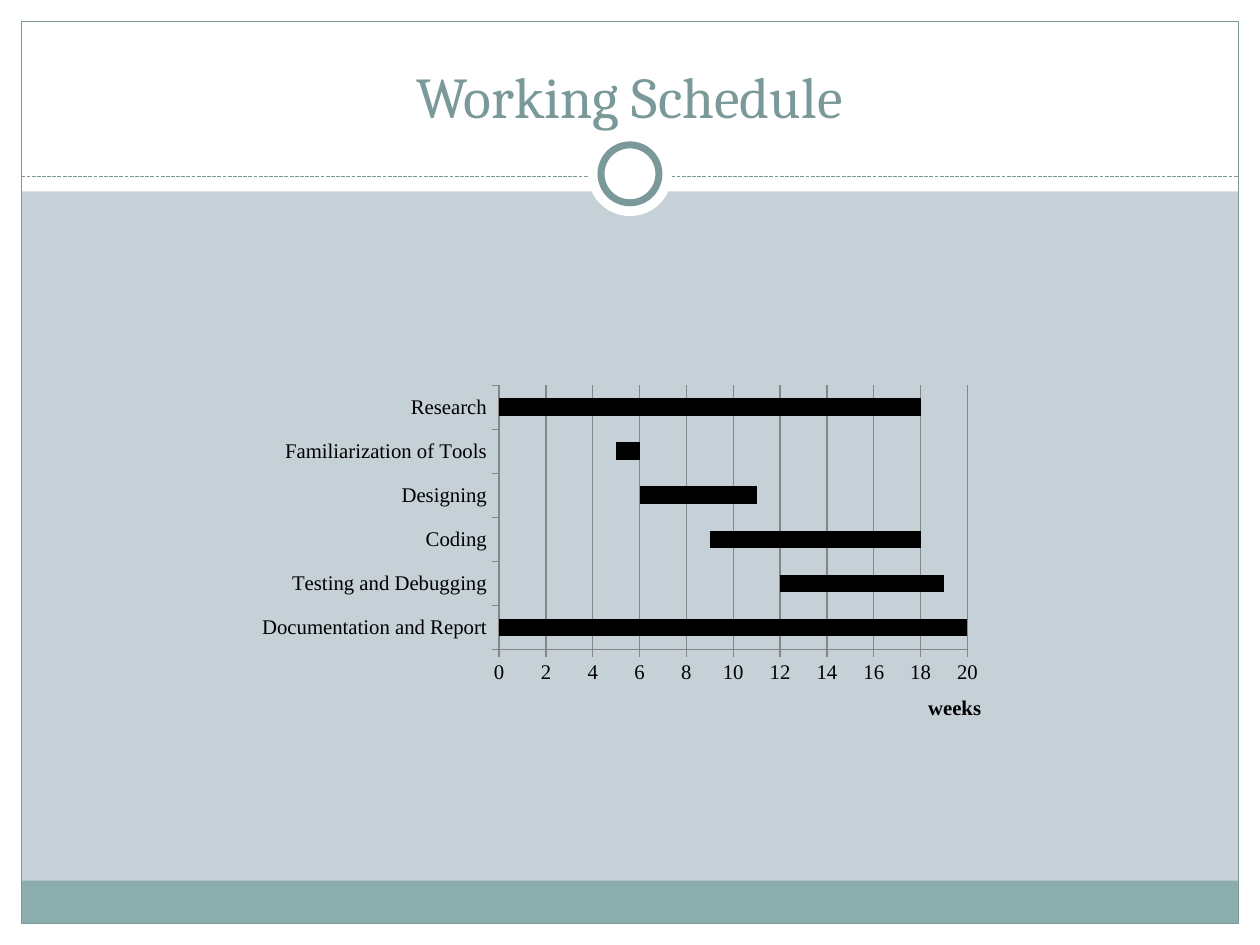
from dataclasses import dataclass

from lxml import etree
from pptx import Presentation
from pptx import util as u
from pptx.chart import data as chart_data
from pptx.dml.color import RGBColor
from pptx.enum import chart as ch, dml, shapes, text
from pptx.oxml.ns import qn


@dataclass(frozen=True)
class Theme:
    background: str = "C5D1D7"
    paper: str = "FFFFFF"
    accent: str = "7C999A"
    footer: str = "8CADAE"
    bar: str = "000000"
    grid: str = "868686"
    title_font: str = "Cambria"
    chart_font: str = "Times New Roman"
    title_size: float = 33
    chart_size: float = 12
    thin: float = 0.75
    ring: float = 4


THEME = Theme()
STAGES = [  # stage, first week, length in weeks; bottom row first
    ("Documentation and Report", None, 20),
    ("Testing and Debugging", 12, 7),
    ("Coding", 9, 9),
    ("Designing", 6, 5),
    ("Familiarization of Tools", 5, 1),
    ("Research", 0, 18),
]


def rgb(value):
    return RGBColor.from_string(value)


def inches(box):
    return [u.Inches(v) for v in box]


def apply_format(target, values):
    for name, value in values.items():
        setattr(target, name, value)


def style_line(line, color, width=THEME.thin):
    line.color.rgb = rgb(color)
    line.width = u.Pt(width)


def add_panel(slide, kind, box, fill=None, border=None, width=THEME.thin):
    panel = slide.shapes.add_shape(kind, *inches(box))
    panel.shadow.inherit = False
    if fill:
        panel.fill.solid()
        panel.fill.fore_color.rgb = rgb(fill)
    else:
        panel.fill.background()
    if border:
        style_line(panel.line, border, width)
    else:
        panel.line.fill.background()


def add_frame(slide, box):
    """White margins, footer band and outline around the given box."""
    left, top, width, height = box
    right, bottom = left + width, top + height
    rect = shapes.MSO_SHAPE.RECTANGLE
    margins = [
        (0, bottom, 10, 7.5 - bottom),
        (0, 0, 10, 1.52),
        (0, 0, left, 7.5),
        (right, 0, 10 - right, 7.5),
    ]
    for margin in margins:
        add_panel(slide, rect, margin, THEME.paper)
    add_panel(slide, rect, (left, bottom - 0.34, width, 0.34), THEME.footer)
    add_panel(slide, rect, box, border=THEME.accent)


def add_divider(slide, left, right, y):
    """Dashed rule with a ring at its middle."""
    rule = slide.shapes.add_connector(
        shapes.MSO_CONNECTOR.STRAIGHT, *inches((left, y, right, y)))
    style_line(rule.line, THEME.accent)
    rule.line.dash_style = dml.MSO_LINE.SQUARE_DOT
    etree.SubElement(rule._element.spPr, qn("a:effectLst"))

    center_x, center_y = (left + right) / 2, 1.38
    for size, border in ((0.67, None), (0.46, THEME.accent)):
        ring_box = (center_x - size / 2, center_y - size / 2, size, size)
        add_panel(slide, shapes.MSO_SHAPE.OVAL, ring_box, THEME.paper,
                  border, THEME.ring)


def place_title(slide, box, wording):
    heading = slide.shapes.title
    apply_format(heading, dict(zip(("left", "top", "width", "height"), inches(box))))
    frame = heading.text_frame
    frame.text = wording
    apply_format(frame, {
        "vertical_anchor": text.MSO_ANCHOR.BOTTOM,
        "word_wrap": True,
        "auto_size": text.MSO_AUTO_SIZE.NONE,
    })
    frame.paragraphs[0].alignment = text.PP_ALIGN.CENTER
    font = frame.paragraphs[0].runs[0].font
    apply_format(font, {"name": THEME.title_font, "size": u.Pt(THEME.title_size)})
    font.color.rgb = rgb(THEME.accent)
    # Bring the heading in front of the white margin
    slide.shapes._spTree.append(heading._element)


def set_layout(parent, index, **values):
    """Give a chart part a manual layout in fractions of the chart."""
    for old in parent.findall(qn("c:layout")):
        parent.remove(old)
    layout = etree.Element(qn("c:layout"))
    manual = etree.SubElement(layout, qn("c:manualLayout"))
    for name, value in values.items():
        etree.SubElement(manual, qn(f"c:{name}")).set("val", str(value))
    parent.insert(index, layout)


def style_chart_font(font, bold=False):
    apply_format(font, {"name": THEME.chart_font, "size": u.Pt(THEME.chart_size),
                        "bold": bold})
    font.color.rgb = rgb(THEME.bar)


def add_schedule(slide, box):
    """Gantt chart: hidden offset bars followed by visible durations."""
    names, starts, lengths = zip(*STAGES)
    schedule = chart_data.CategoryChartData()
    schedule.categories = names
    schedule.add_series("Series 1", starts)
    schedule.add_series("Series 2", lengths)
    gantt = slide.shapes.add_chart(
        ch.XL_CHART_TYPE.BAR_STACKED, *inches(box), schedule).chart
    apply_format(gantt, {"has_legend": False, "has_title": False})
    style_chart_font(gantt.font)

    bars = gantt.plots[0]
    apply_format(bars, {"gap_width": 150, "overlap": 100, "vary_by_categories": False})
    offsets, durations = bars.series
    offsets.format.fill.background()
    offsets.format.line.fill.background()
    durations.format.fill.solid()
    durations.format.fill.fore_color.rgb = rgb(THEME.bar)

    # Axes
    stages, weeks = gantt.category_axis, gantt.value_axis
    for axis in (stages, weeks):
        apply_format(axis, {"major_tick_mark": ch.XL_TICK_MARK.OUTSIDE,
                            "minor_tick_mark": ch.XL_TICK_MARK.NONE})
        style_chart_font(axis.tick_labels.font)
        style_line(axis.format.line, THEME.grid)
    apply_format(weeks, {"minimum_scale": 0, "maximum_scale": 20, "major_unit": 2,
                         "has_major_gridlines": True})
    style_line(weeks.major_gridlines.format.line, THEME.grid)

    # Axis title and plot position
    caption = weeks.axis_title
    caption.text_frame.text = "weeks"
    style_chart_font(caption.text_frame.paragraphs[0].runs[0].font, bold=True)
    set_layout(caption._element, 1, xMode="edge", yMode="edge", x=0.91, y=0.91)
    plot_area = gantt._chartSpace.chart.plotArea
    set_layout(plot_area, 0, layoutTarget="inner", xMode="edge", yMode="edge",
               x=0.318, y=0.049, w=0.652, h=0.744)


def main():
    deck = Presentation()
    deck.slide_width, deck.slide_height = inches((10, 7.5))
    slide = deck.slides.add_slide(deck.slide_layouts[5])
    slide.background.fill.solid()
    slide.background.fill.fore_color.rgb = rgb(THEME.background)
    add_frame(slide, (0.17, 0.17, 9.66, 7.16))
    add_divider(slide, 0.17, 9.83, 1.4)
    place_title(slide, (0.33, 0.25, 9.33, 0.83), "Working Schedule")
    add_schedule(slide, (2.08, 2.92, 5.77, 2.84))
    deck.save("out.pptx")


if __name__ == "__main__":
    main()
